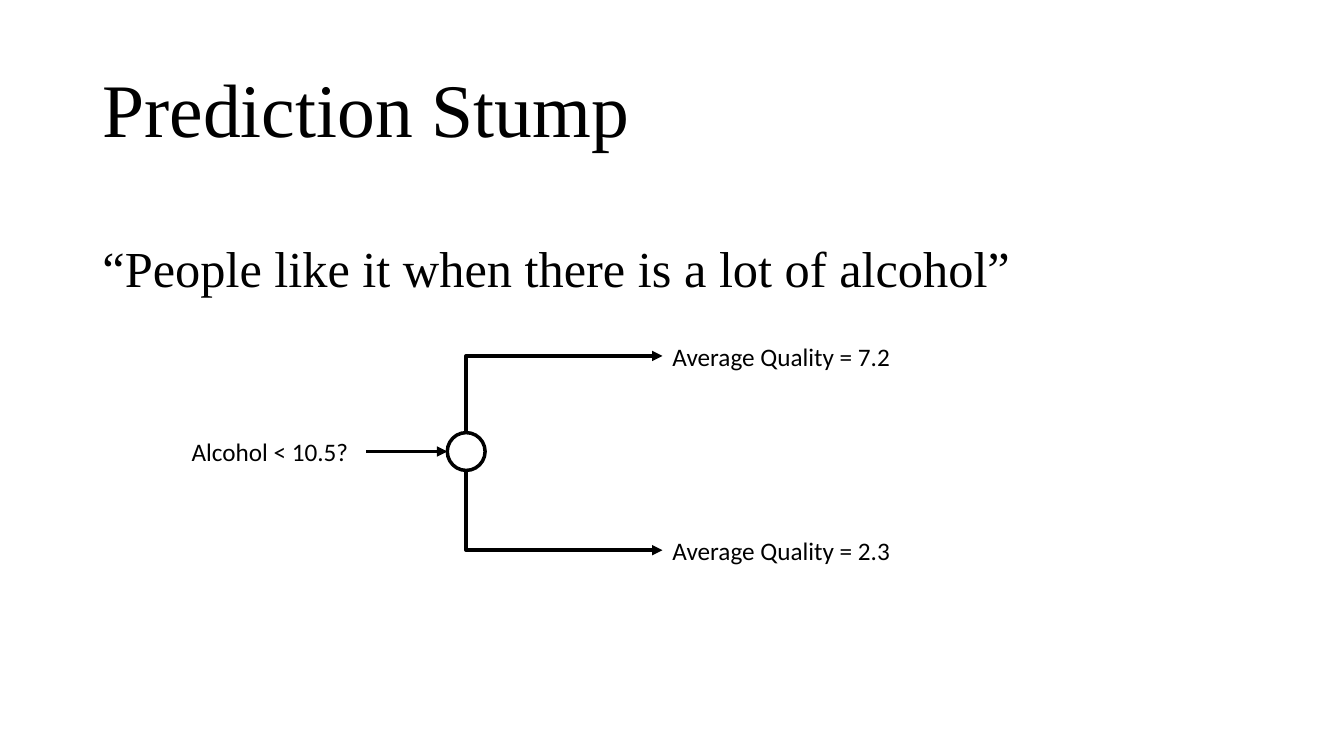
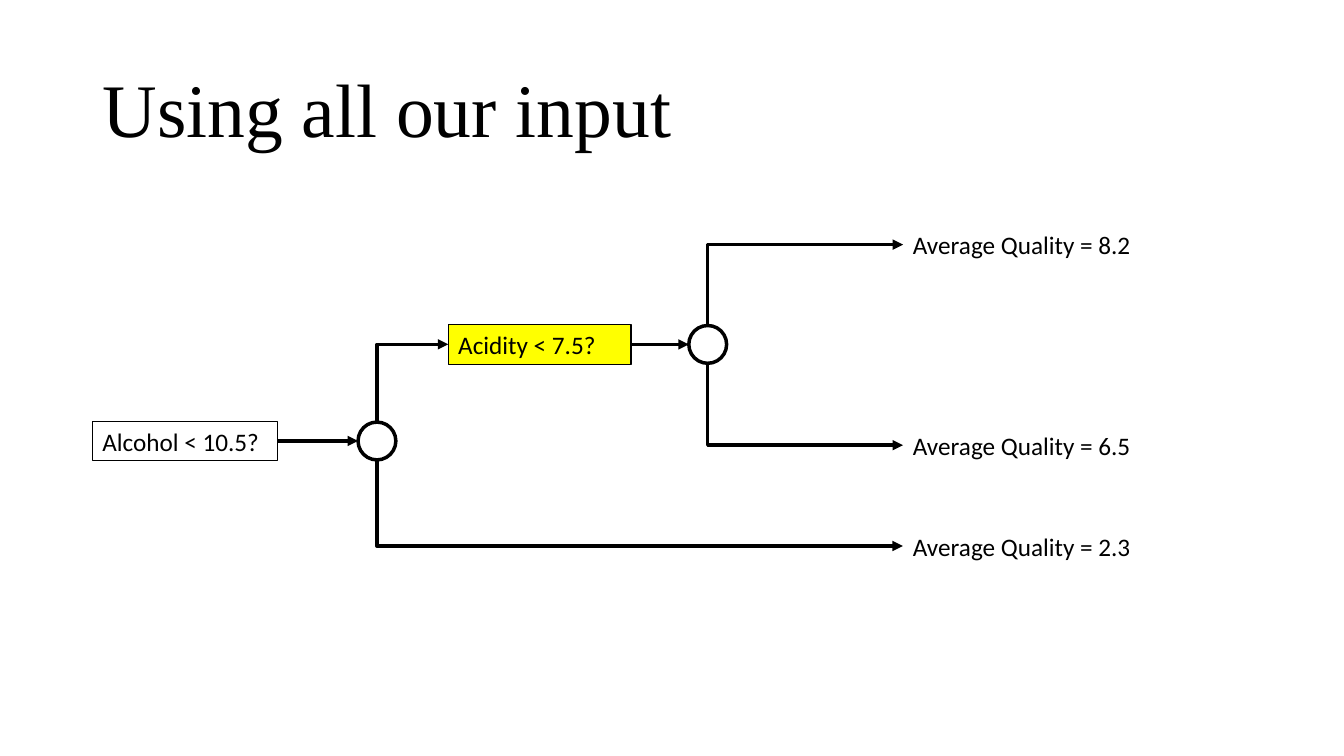
from lxml import etree
from pptx import Presentation
from pptx.dml.color import RGBColor
from pptx.enum.shapes import MSO_CONNECTOR, MSO_SHAPE
from pptx.enum.text import MSO_ANCHOR, MSO_AUTO_SIZE, PP_ALIGN
from pptx.oxml.ns import qn
from pptx.util import Emu, Pt

STRAIGHT, ELBOW = MSO_CONNECTOR.STRAIGHT, MSO_CONNECTOR.ELBOW
OVAL = MSO_SHAPE.OVAL
TOP, MIDDLE = MSO_ANCHOR.TOP, MSO_ANCHOR.MIDDLE
LEFT = PP_ALIGN.LEFT
FIXED, GROW = MSO_AUTO_SIZE.NONE, MSO_AUTO_SIZE.SHAPE_TO_FIT_TEXT
TEXT_LAYOUT, TITLE_LAYOUT = 1, 5

INK, PAPER, MARK = "000000", "FFFFFF", "FFFF00"
SERIF, SANS = "Times New Roman", "Calibri"
SCALE = 9525  # EMU in one px, 96 px to the inch
NODE = 36  # diameter of a branch node
LABEL = 38  # height of a label
ASK, RESULT = 176, 228  # widths of question and result labels


def px(n):
    return Emu(round(n * SCALE))


def color(code):
    return RGBColor.from_string(code)


# Text
def style(par, face, size):
    par.alignment = LEFT
    par.font.name = face
    par.font.size = Pt(size)
    par.font.color.rgb = color(INK)


def place(shape, left, top, width, height):
    shape.left, shape.top = px(left), px(top)
    shape.width, shape.height = px(width), px(height)


def fill_holder(holder, text, top, height, size, anchor, spacing):
    place(holder, 88, top, 1104, height)
    frame = holder.text_frame
    frame.text = text
    frame.auto_size = FIXED
    frame.vertical_anchor = anchor
    par = frame.paragraphs[0]
    style(par, SERIF, size)
    par.line_spacing = spacing
    return par


def add_slide(deck, layout, title):
    slide = deck.slides.add_slide(deck.slide_layouts[layout])
    fill_holder(slide.shapes.title, title, 38, 139, 54, MIDDLE, 0.9)
    return slide


def add_body(slide, text):
    par = fill_holder(slide.placeholders[1], text, 192, 457, 36, TOP, 1.5)
    par.space_before = Pt(10)
    props = par._p.get_or_add_pPr()
    props.set("marL", "0")
    props.set("indent", "0")
    etree.SubElement(props, qn("a:buNone"))


def add_label(slide, text, left, mid, width, fill=None, boxed=False):
    box = slide.shapes.add_textbox(
        px(left), px(mid - LABEL / 2), px(width), px(LABEL))
    frame = box.text_frame
    frame.word_wrap = True
    frame.auto_size = GROW
    frame.text = text
    style(frame.paragraphs[0], SANS, 18)
    if fill:
        box.fill.solid()
        box.fill.fore_color.rgb = color(fill)
    if boxed:
        box.line.color.rgb = color(INK)
        box.line.width = Pt(0.75)
    return box


# Tree parts
def draw_line(shape):
    shape.line.color.rgb = color(INK)
    shape.line.width = Pt(2.5)


def add_node(slide, x, y):
    node = slide.shapes.add_shape(
        OVAL, px(x - NODE / 2), px(y - NODE / 2), px(NODE), px(NODE))
    node.shadow.inherit = False
    node.fill.solid()
    node.fill.fore_color.rgb = color(PAPER)
    draw_line(node)


def add_arrow(slide, kind, x1, y1, x2, y2):
    arrow = slide.shapes.add_connector(kind, px(x1), px(y1), px(x2), px(y2))
    draw_line(arrow)
    line = arrow.line._get_or_add_ln()
    etree.SubElement(line, qn("a:tailEnd"), type="triangle")
    etree.SubElement(arrow._element.spPr, qn("a:effectLst"))
    return arrow


def add_branch(slide, x, y, end, mid):
    """Leave the node at (x, y) vertically, then run right to (end, mid)."""
    up = mid < y
    start = y - NODE / 2 if up else y + NODE / 2
    arrow = add_arrow(slide, ELBOW, x, start, end, mid)
    run, rise = end - x, abs(mid - start)
    # The one-bend preset starts level, so its box is turned a quarter
    place(arrow, (x + end - rise) / 2, (start + mid - run) / 2, rise, run)
    props = arrow._element.spPr
    props.find(qn("a:prstGeom")).set("prst", "bentConnector2")
    frame = props.find(qn("a:xfrm"))
    frame.set("rot", str((90 if up else 270) * 60000))
    frame.set("flipH", "1")
    frame.set("flipV", "1" if up else "0")


def add_split(slide, box, x, y, ends):
    """Join a question box to a node with one branch for each end."""
    add_node(slide, x, y)
    arrow = add_arrow(slide, STRAIGHT, x - NODE, y, x - NODE / 2, y)
    arrow.begin_connect(box, 3)
    for end, mid in ends:
        add_branch(slide, x, y, end, mid)


def add_results(slide, left, results):
    for value, mid in results:
        add_label(slide, f"Average Quality = {value}", left, mid, RESULT)


# Slides
def stump_slide(deck):
    slide = add_slide(deck, TEXT_LAYOUT, "Prediction Stump")
    add_body(slide, "“People like it when there is a lot of alcohol”")
    left, high, low = 631, 339, 524
    box = add_label(slide, "Alcohol < 10.5?", 173, 430, ASK)
    add_split(slide, box, 444, 430, [(left, high), (left, low)])
    add_results(slide, left, [("7.2", high), ("2.3", low)])


def tree_slide(deck):
    slide = add_slide(deck, TITLE_LAYOUT, "Using all our input")
    left, high, mid, low = 860, 233, 424, 520
    next_left, next_mid = 427, 328
    box = add_label(slide, "Alcohol < 10.5?", 88, 420, ASK, boxed=True)
    add_split(slide, box, 359, 420, [(next_left, next_mid), (left, low)])
    box = add_label(slide, "Acidity < 7.5?", next_left, next_mid, ASK - 2,
                    MARK, boxed=True)
    add_split(slide, box, 674, next_mid, [(left, high), (left, mid)])
    add_results(slide, left, [("8.2", high), ("6.5", mid), ("2.3", low)])


def main():
    deck = Presentation()
    deck.slide_width, deck.slide_height = px(1280), px(720)
    stump_slide(deck)
    tree_slide(deck)
    deck.save("out.pptx")


if __name__ == "__main__":
    main()
